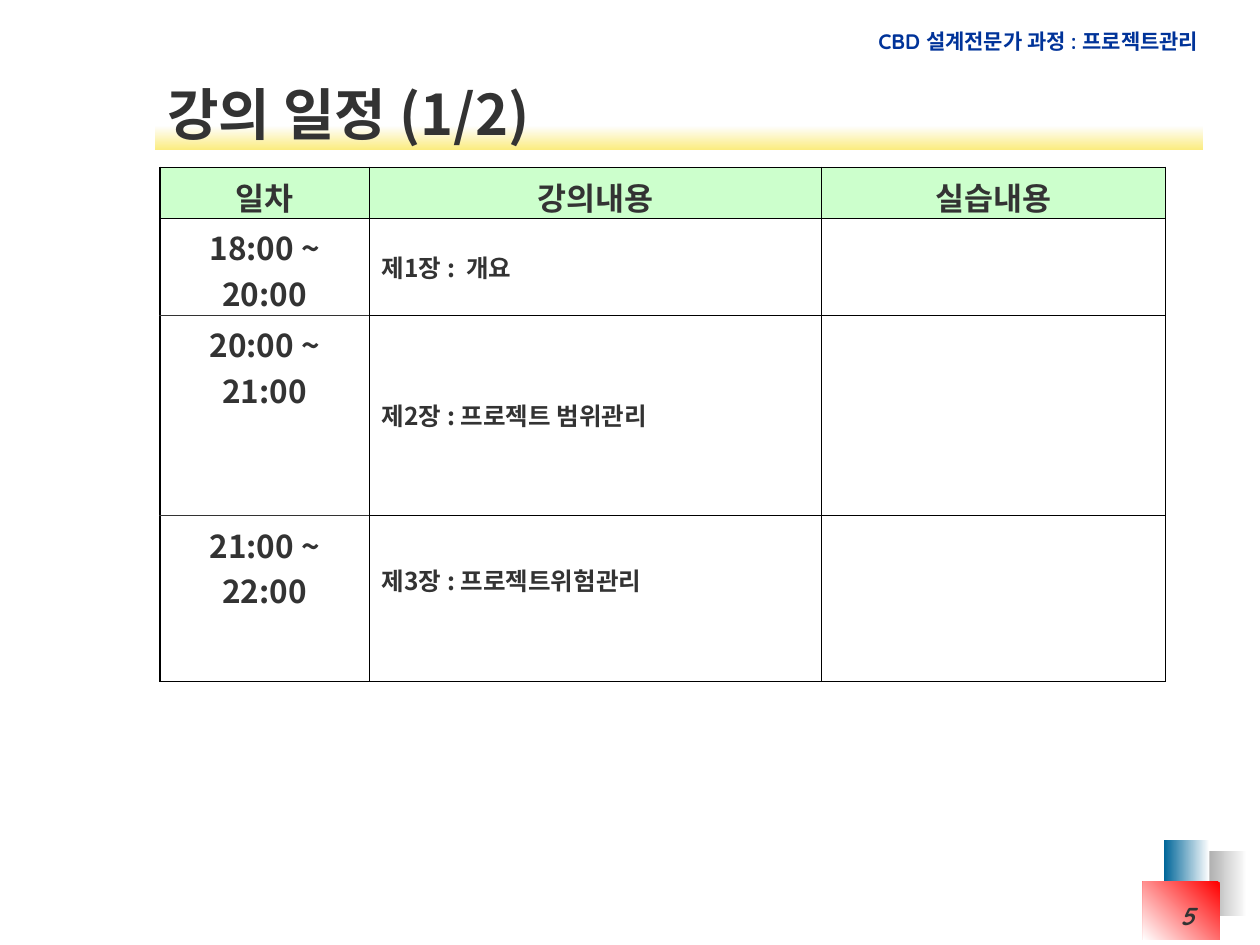
from lxml.etree import SubElement
from pptx import Presentation
from pptx.dml.color import RGBColor
from pptx.enum.shapes import MSO_SHAPE
from pptx.enum.text import MSO_ANCHOR, PP_ALIGN
from pptx.oxml.ns import qn
from pptx.util import Inches, Pt

COLORS = {
    "ink": "333333", "navy": "003399", "black": "000000", "header": "CCFFCC",
    "white": "FFFFFF", "gray": "969696", "blue": "006699", "red": "FF0000",
    "pale": "FEFEFE", "yellow": "FBEC7F",
}
KOREAN_FONT = "Noto Sans CJK KR"
LATIN_FONT = "Quicksand"
OUTER, INNER = Pt(1.08), Pt(0.45)

COLUMN_WIDTHS = [1.66, 3.59, 2.73]
ROW_HEIGHTS = [0.4, 0.77, 1.59, 1.32]
SCHEDULE = [
    ["일차", "강의내용", "실습내용"],
    ["18:00 ~ 20:00", "제1장 :  개요", ""],
    ["20:00 ~ 21:00", "제2장 : 프로젝트 범위관리", ""],
    ["21:00 ~ 22:00", "제3장 : 프로젝트위험관리", ""],
]


def rgb(name):
    return RGBColor.from_string(COLORS[name])


class SlideBuilder:
    """Holds the current slide and the style of its elements."""

    def __init__(self, page):
        self.page = page

    def add_span(self, paragraph, text, size, font=KOREAN_FONT, color="ink",
                 align=PP_ALIGN.LEFT, italic=False):
        paragraph.alignment = align
        span = paragraph.add_run()
        span.text = text
        span.font.size = Pt(size)
        span.font.bold = True
        span.font.italic = italic
        span.font.color.rgb = rgb(color)
        span.font.name = font
        properties = span._r.get_or_add_rPr()
        SubElement(properties, qn("a:ea"), typeface=KOREAN_FONT)

    def text(self, left, top, width, height, text, size, wrap=True,
             anchor=MSO_ANCHOR.TOP, **style):
        box = self.page.shapes.add_textbox(
            Inches(left), Inches(top), Inches(width), Inches(height))
        frame = box.text_frame
        frame.word_wrap = wrap
        frame.vertical_anchor = anchor
        self.add_span(frame.paragraphs[0], text, size, **style)

    def gradient(self, left, top, width, height, start, end, angle):
        """Add a rectangle whose gradient angle runs counter-clockwise."""
        shape = self.page.shapes.add_shape(
            MSO_SHAPE.RECTANGLE, Inches(left), Inches(top),
            Inches(width), Inches(height))
        shape.shadow.inherit = False
        shape.line.fill.background()
        shape.fill.gradient()
        shape.fill.gradient_angle = angle
        for stop, color in zip(shape.fill.gradient_stops, (start, end)):
            stop.color.rgb = rgb(color)

    def border(self, cell, side, width, color):
        properties = cell._tc.get_or_add_tcPr()
        line = SubElement(properties, qn(f"a:ln{side}"), w=str(int(width)))
        fill = SubElement(line, qn("a:solidFill"))
        SubElement(fill, qn("a:srgbClr"), val=COLORS[color])

    def table(self, left, top, widths, heights, rows):
        table = self.page.shapes.add_table(
            len(rows), len(widths), Inches(left), Inches(top),
            Inches(sum(widths)), Inches(sum(heights))).table
        table.first_row = False
        table.horz_banding = False
        for column, width in zip(table.columns, widths):
            column.width = Inches(width)
        for row, height in zip(table.rows, heights):
            row.height = Inches(height)

        last_row, last_column = len(rows) - 1, len(widths) - 1
        for r, values in enumerate(rows):
            for c, value in enumerate(values):
                cell = table.cell(r, c)
                edges = {"L": c == 0, "R": c == last_column,
                         "T": r == 0, "B": r == last_row}
                for side, outer in edges.items():
                    between_times = c == 0 and (
                        (side == "T" and r > 1) or (side == "B" and 0 < r < last_row))
                    self.border(cell, side, OUTER if outer else INNER,
                                "ink" if between_times else "black")
                self.fill_cell(cell, value, is_header=r == 0, is_time=c == 0)
        return table

    def fill_cell(self, cell, value, is_header, is_time):
        if is_header:
            cell.fill.solid()
            cell.fill.fore_color.rgb = rgb("header")
        else:
            cell.fill.background()
        if is_header or not is_time:
            cell.vertical_anchor = MSO_ANCHOR.MIDDLE
        if value:
            centered = is_header or is_time
            self.add_span(cell.text_frame.paragraphs[0], value,
                          18 if centered else 14,
                          align=PP_ALIGN.CENTER if centered else PP_ALIGN.JUSTIFY)


def main():
    deck = Presentation()
    deck.slide_width, deck.slide_height = Inches(10), Inches(7.5)
    builder = SlideBuilder(deck.slides.add_slide(deck.slide_layouts[6]))

    builder.gradient(9.5, 6.75, 0.4, 0.52, "white", "gray", 180)
    builder.gradient(9.24, 6.67, 0.36, 0.52, "white", "blue", 180)
    builder.gradient(9.07, 7, 0.61, 0.46, "red", "white", 225)
    builder.gradient(1.23, 1, 8.32, 0.19, "pale", "yellow", 270)

    builder.text(6.75, 0.18, 2.86, 0.3, "CBD 설계전문가 과정 : 프로젝트관리", 12,
                 wrap=False, font=LATIN_FONT, color="navy", align=PP_ALIGN.RIGHT)
    builder.text(1.23, 0.59, 8.32, 0.61, "강의 일정 (1/2)", 32,
                 anchor=MSO_ANCHOR.MIDDLE)

    schedule = builder.table(1.27, 1.33, COLUMN_WIDTHS, ROW_HEIGHTS, SCHEDULE)
    schedule.cell(3, 1).margin_bottom = Inches(0.34)

    builder.text(8.35, 7.1, 1.23, 0.4, "5", 14, font=LATIN_FONT,
                 align=PP_ALIGN.RIGHT, italic=True)
    deck.save("out.pptx")


if __name__ == "__main__":
    main()
